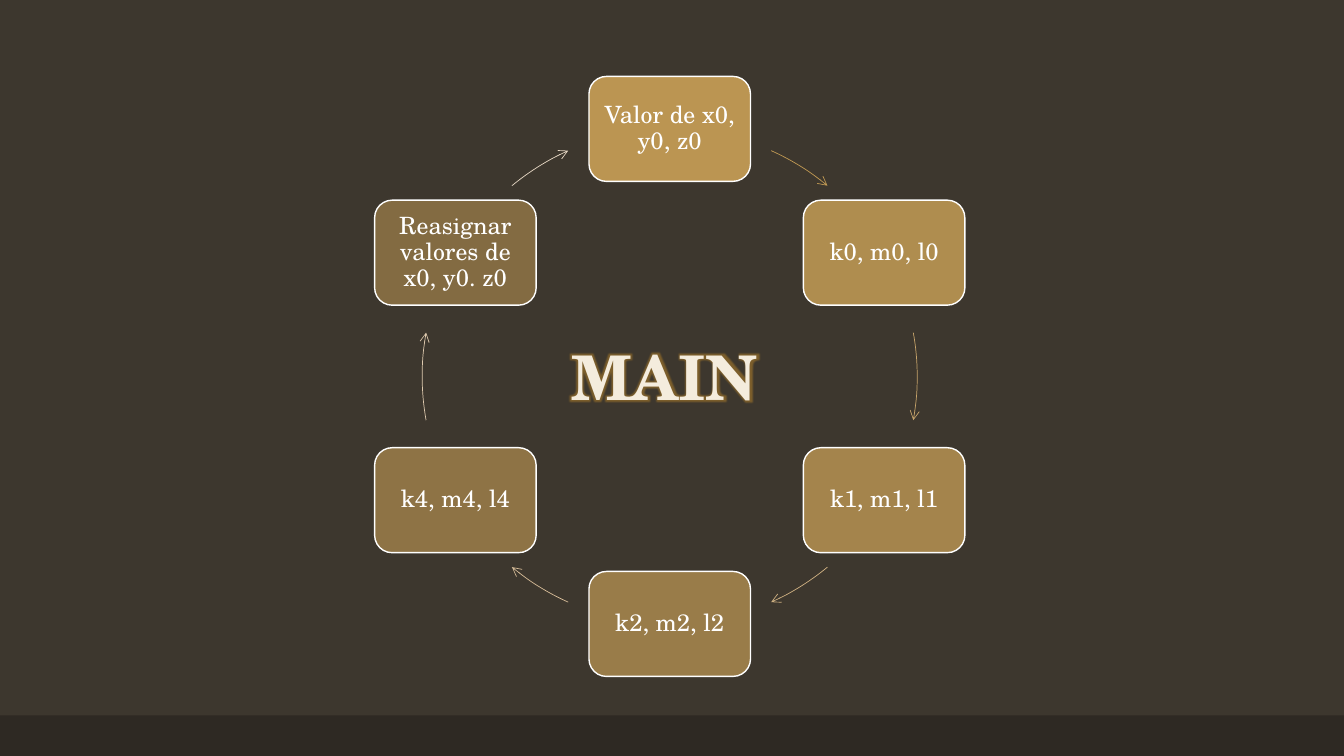
import math
from dataclasses import dataclass

import lxml.etree
import pptx
import pptx.dml.color
import pptx.enum.shapes
import pptx.enum.text
import pptx.oxml
import pptx.oxml.ns
import pptx.util

Pt = pptx.util.Pt
ShapeType = pptx.enum.shapes.MSO_SHAPE
Anchor = pptx.enum.text.MSO_ANCHOR
Align = pptx.enum.text.PP_ALIGN

FONT = "TeX Gyre Schola"
CENTER_X, CENTER_Y, RADIUS = 478.4, 268.9, 176.8
NODE_WIDTH, NODE_HEIGHT = 115.4, 75
NODE_COLOR = "C9A057"


@dataclass(frozen=True)
class Step:
    text: str
    opacity: int
    arrow_color: str
    arrow_start: float
    arrow_end: float


STEPS = [
    Step("Valor de x0, y0, z0", 90, "C09953", 24.2, 39.6),
    Step("k0, m0, l0", 82, "C7A46A", 79.8, 100.2),
    Step("k1, m1, l1", 74, "CEB081", 140.4, 155.8),
    Step("k2, m2, l2", 66, "D6BC98", 204.2, 219.6),
    Step("k4, m4, l4", 58, "DEC9AE", 259.8, 280.2),
    Step("Reasignar valores de x0, y0. z0", 50, "E6D7C4", 320.4, 335.8),
]


def paint(color_holder, color: str) -> None:
    if hasattr(color_holder, "solid"):
        color_holder.solid()
        color_holder = color_holder.fore_color
    else:
        color_holder = color_holder.color
    color_holder.rgb = pptx.dml.color.RGBColor.from_string(color)


def append_element(parent, tag: str, **attributes: str):
    element = lxml.etree.SubElement(parent, pptx.oxml.ns.qn(tag))
    for name, value in attributes.items():
        element.set(name, value)
    return element


def add_run(paragraph, text: str, size: float, color: str, bold: bool = False):
    run = paragraph.add_run()
    run.text = text
    run.font.name = FONT
    run.font.size = Pt(size)
    run.font.bold = bold
    paint(run.font.fill, color)
    return run


def add_shape(slide, kind, left: float, top: float, width: float, height: float):
    shape = slide.shapes.add_shape(kind, Pt(left), Pt(top), Pt(width), Pt(height))
    shape.shadow.inherit = False
    return shape


def add_floor(slide) -> None:
    shape = add_shape(slide, ShapeType.RECTANGLE, 0, 511, 960, 29)
    paint(shape.fill, "2E2923")
    shape.line.fill.background()


def add_node(slide, step: Step, angle: float) -> None:
    left = CENTER_X + RADIUS * math.sin(angle) - NODE_WIDTH / 2
    top = CENTER_Y - RADIUS * math.cos(angle) - NODE_HEIGHT / 2
    shape = add_shape(slide, ShapeType.ROUNDED_RECTANGLE, left, top, NODE_WIDTH, NODE_HEIGHT)
    paint(shape.fill, NODE_COLOR)
    color = shape.fill._xPr.find(".//" + pptx.oxml.ns.qn("a:srgbClr"))
    append_element(color, "a:alpha", val=str(step.opacity * 1000))
    paint(shape.line, "FFFFFF")
    shape.line.width = Pt(1)
    frame = shape.text_frame
    frame.word_wrap = True
    frame.vertical_anchor = Anchor.MIDDLE
    frame.margin_left = frame.margin_right = Pt(5)
    frame.margin_top = frame.margin_bottom = Pt(5)
    paragraph = frame.paragraphs[0]
    paragraph.alignment = Align.CENTER
    paragraph.line_spacing = 0.9
    add_run(paragraph, step.text, 17, "FFFFFF")


def add_arc_arrow(slide, step: Step) -> None:
    shape = add_shape(slide, ShapeType.ARC, CENTER_X - RADIUS, CENTER_Y - RADIUS,
                      2 * RADIUS, 2 * RADIUS)
    for index, degrees in enumerate((step.arrow_start, step.arrow_end)):
        shape.adjustments[index] = (degrees - 90) % 360 * 0.6
    shape.fill.background()
    paint(shape.line, step.arrow_color)
    shape.line.width = Pt(0.5)
    append_element(shape.line._get_or_add_ln(), "a:tailEnd", type="arrow")


def format_title(slide) -> None:
    title = slide.shapes.title
    title.left, title.top, title.width, title.height = Pt(401), Pt(238.3), Pt(260), Pt(60.5)
    frame = title.text_frame
    frame.word_wrap = True
    frame.auto_size = pptx.enum.text.MSO_AUTO_SIZE.SHAPE_TO_FIT_TEXT
    frame.vertical_anchor = Anchor.TOP
    paragraph = frame.paragraphs[0]
    paragraph.alignment = Align.LEFT
    run = add_run(paragraph, "MAIN", 44, "F4ECDD", bold=True)
    effects = pptx.oxml.parse_xml(
        f'<a:effectLst {pptx.oxml.ns.nsdecls("a")}><a:glow rad="63500">'
        '<a:srgbClr val="A87A2A"><a:alpha val="60000"/></a:srgbClr>'
        '</a:glow></a:effectLst>')
    run.font.fill._xPr.find(pptx.oxml.ns.qn("a:solidFill")).addnext(effects)


def main() -> None:
    presentation = pptx.Presentation()
    presentation.slide_width, presentation.slide_height = Pt(960), Pt(540)
    slide = presentation.slides.add_slide(presentation.slide_layouts[5])
    paint(slide.background.fill, "3D372E")
    add_floor(slide)
    for index, step in enumerate(STEPS):
        add_node(slide, step, math.tau * index / len(STEPS))
        add_arc_arrow(slide, step)
    format_title(slide)
    presentation.save("out.pptx")


if __name__ == "__main__":
    main()
